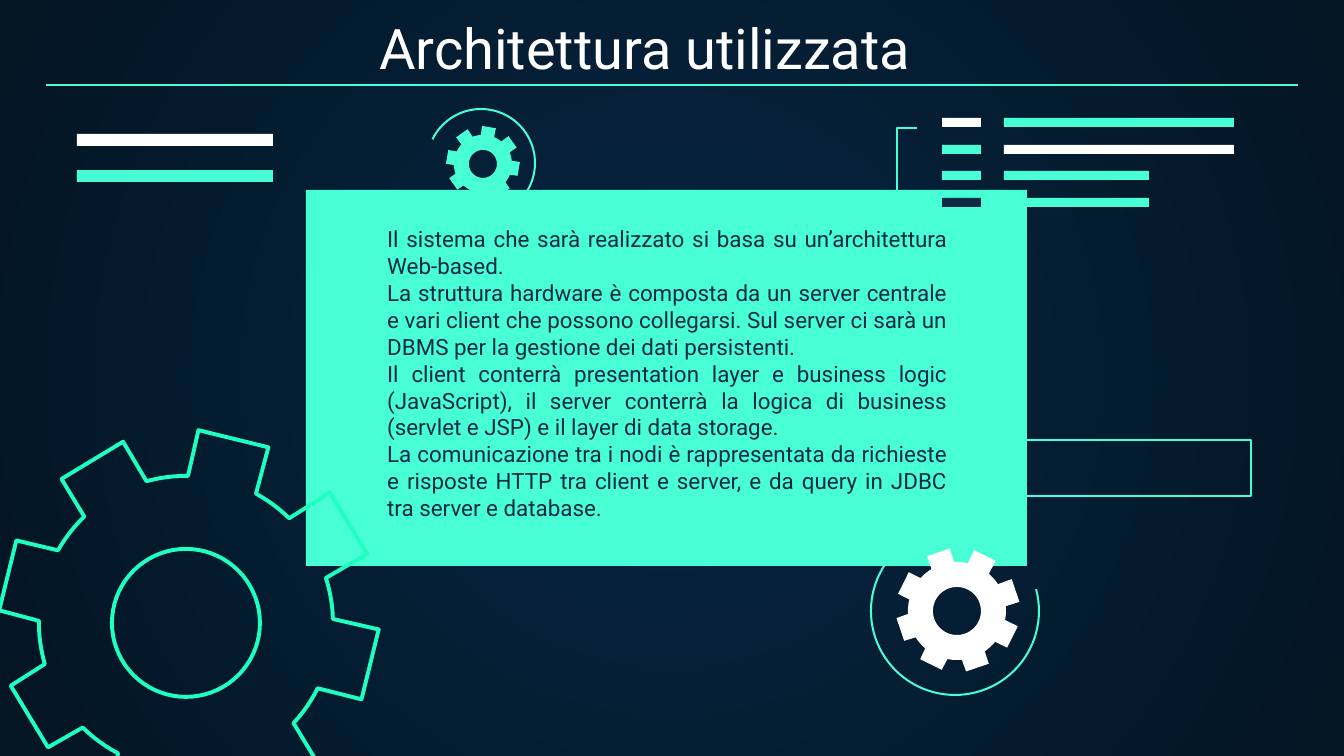
"""Build the architecture slide with its gears, bars and text panel."""
import math
import typing

import pptx
import pptx.dml.color
import pptx.enum.shapes
import pptx.enum.text
import pptx.oxml
import pptx.oxml.ns
import pptx.util

PX = 9144000 / 1344
AQUA, GREEN, WHITE, NAVY = "48FFD5", "1EFFC1", "FFFFFF", "0E2A47"
THIN = 1.09
FONT = "Roboto"
KIND = pptx.enum.shapes.MSO_SHAPE
Point = tuple[float, float]


class Bar(typing.NamedTuple):
    left: int
    top: int
    width: int
    height: int
    color: str


class Ring(typing.NamedTuple):
    x: int
    y: int
    radius: int
    start: int
    end: int


class Gear(typing.NamedTuple):
    x: int
    y: int
    tip: int
    root: int
    half_tooth: int
    turn: float
    hole: int
    shift_x: int
    shift_y: int
    fill: str | None
    line: str | None


PANEL = Bar(306, 190, 721, 376, AQUA)
ROW_TOPS = (118, 145, 171, 198)
KEY_COLORS = (WHITE, AQUA, AQUA, NAVY)
VALUE_COLORS = (AQUA, WHITE, AQUA, AQUA)
VALUE_WIDTHS = (230, 230, 145, 145)
BARS = [Bar(77, 134, 196, 12, WHITE), Bar(77, 170, 196, 12, AQUA)]
for row_top, key, value, value_width in zip(ROW_TOPS, KEY_COLORS, VALUE_COLORS, VALUE_WIDTHS):
    BARS += [Bar(942, row_top, 39, 9, key), Bar(1004, row_top, value_width, 9, value)]
RINGS = [Ring(481, 163, 54, 206, 42), Ring(955, 611, 84, 345, 233)]
GEARS = [
    Gear(189, 620, 190, 147, 36, 13.8, 74, -3, 3, None, GREEN),
    Gear(958, 610, 62, 49, 12, 26.3, 24, -1, 1, WHITE, None),
    Gear(483, 163, 37, 29, 7, 9.6, 14, 0, 1, AQUA, None),
]
PARAGRAPHS = [
    "Il sistema che sarà realizzato si basa su un’architettura Web-based.",
    "La struttura hardware è composta da un server centrale e vari client che possono "
    "collegarsi. Sul server ci sarà un DBMS per la gestione dei dati persistenti.",
    "Il client conterrà presentation layer e business logic (JavaScript), il server conterrà "
    "la logica di business (servlet e JSP) e il layer di data storage.",
    "La comunicazione tra i nodi è rappresentata da richieste e risposte HTTP tra client e "
    "server, e da query in JDBC tra server e database.",
]


def px(*lengths: float) -> list[int]:
    return [round(length * PX) for length in lengths]


def rgb(color: str) -> pptx.dml.color.RGBColor:
    return pptx.dml.color.RGBColor.from_string(color)


def paint(shape, fill: str | None, line: str | None = None, weight: float = THIN) -> None:
    shape.shadow.inherit = False
    if fill:
        shape.fill.solid()
        shape.fill.fore_color.rgb = rgb(fill)
    else:
        shape.fill.background()
    if line:
        shape.line.color.rgb = rgb(line)
        shape.line.width = pptx.util.Pt(weight)
    else:
        shape.line.fill.background()


def draw_background(page) -> None:
    fill = page.background.fill
    fill.gradient()
    for stop, color in zip(fill.gradient_stops, ("052643", "041523")):
        stop.color.rgb = rgb(color)
    gradient = page.element.xpath(".//a:gradFill")[0]
    for linear in gradient.findall(pptx.oxml.ns.qn("a:lin")):
        gradient.remove(linear)
    gradient.append(pptx.oxml.parse_xml(
        f'<a:path {pptx.oxml.ns.nsdecls("a")} path="circle">'
        '<a:fillToRect l="50000" t="50000" r="50000" b="50000"/></a:path>'))


def draw_bar(page, bar: Bar) -> None:
    paint(page.shapes.add_shape(KIND.RECTANGLE, *px(*bar[:4])), bar.color)


def draw_ring(page, ring: Ring) -> None:
    size = 2 * ring.radius
    arc = page.shapes.add_shape(
        KIND.ARC, *px(ring.x - ring.radius, ring.y - ring.radius, size, size))
    arc.adjustments[0] = ring.start * 0.6
    arc.adjustments[1] = ring.end * 0.6
    paint(arc, None, AQUA)


def draw_outline(page, contours: list[list[Point]], close: bool = True):
    points = [[tuple(px(*point)) for point in contour] for contour in contours]
    builder = page.shapes.build_freeform(*points[0][0])
    for number, contour in enumerate(points):
        if number:
            builder.move_to(*contour[0])
        builder.add_line_segments(contour[1:], close=close)
    return builder.convert_to_shape()


def gear_contours(gear: Gear) -> list[list[Point]]:
    def around(angle: float, radius: float) -> Point:
        return gear.x + radius * math.cos(angle), gear.y + radius * math.sin(angle)

    tip_half = math.asin(gear.half_tooth / gear.tip)
    root_half = math.asin(gear.half_tooth / gear.root)
    step = math.tau / 8
    rim = []
    for tooth in range(8):
        middle = math.radians(gear.turn) + tooth * step
        rim += [around(middle + side * tip_half, gear.tip) for side in (-1, 1)]
        for part in range(7):
            angle = middle + root_half + part / 6 * (step - 2 * root_half)
            shift = gear.shift_x * math.cos(angle) + gear.shift_y * math.sin(angle)
            rim.append(around(angle, gear.root + shift))
    hole = []
    for part in range(72):
        x, y = around(-part * math.tau / 72, gear.hole)
        hole.append((x + gear.shift_x, y + gear.shift_y))
    return [rim, hole]


def draw_gear(page, gear: Gear) -> None:
    paint(draw_outline(page, gear_contours(gear)), gear.fill, gear.line, 2.1)


def draw_text(page, frame: tuple[int, int, int, int], texts: list[str], size: int,
              color: str, align, anchor) -> None:
    box = page.shapes.add_textbox(*px(*frame)).text_frame
    box.word_wrap = True
    box.vertical_anchor = anchor
    box.margin_left = box.margin_right = pptx.util.Inches(0.1)
    box.margin_top = box.margin_bottom = pptx.util.Inches(0.1)
    for number, text in enumerate(texts):
        para = box.add_paragraph() if number else box.paragraphs[0]
        para.alignment = align
        span = para.add_run()
        span.text = text
        span.font.name = FONT
        span.font.size = pptx.util.Pt(size)
        span.font.color.rgb = rgb(color)


def draw_rule(page) -> None:
    rule = page.shapes.add_connector(
        pptx.enum.shapes.MSO_CONNECTOR.STRAIGHT, *px(46, 85, 1298, 85))
    rule.line.color.rgb = rgb(AQUA)
    rule.line.width = pptx.util.Pt(0.75)
    rule.element.spPr.append(
        pptx.oxml.parse_xml(f'<a:effectLst {pptx.oxml.ns.nsdecls("a")}/>'))


def main() -> None:
    deck = pptx.Presentation()
    deck.slide_width, deck.slide_height = px(1344, 756)
    page = deck.slides.add_slide(deck.slide_layouts[6])
    draw_background(page)
    draw_bar(page, PANEL)
    for ring in RINGS:
        draw_ring(page, ring)
    for gear in GEARS:
        draw_gear(page, gear)
    for bar in BARS:
        draw_bar(page, bar)
    bracket = [(917, 209), (897, 209), (897, 128), (917, 128)]
    paint(draw_outline(page, [bracket], close=False), None, AQUA)
    paint(page.shapes.add_shape(KIND.RECTANGLE, *px(968, 440, 283, 56)), None, AQUA)
    align, anchor = pptx.enum.text.PP_ALIGN, pptx.enum.text.MSO_ANCHOR
    draw_text(page, (374, 212, 587, 317), PARAGRAPHS, 12, NAVY, align.JUSTIFY, anchor.TOP)
    draw_text(page, (366, 5, 1152, 89), ["Architettura utilizzata"], 30, WHITE,
              align.LEFT, anchor.BOTTOM)
    draw_rule(page)
    deck.save("out.pptx")


if __name__ == "__main__":
    main()
